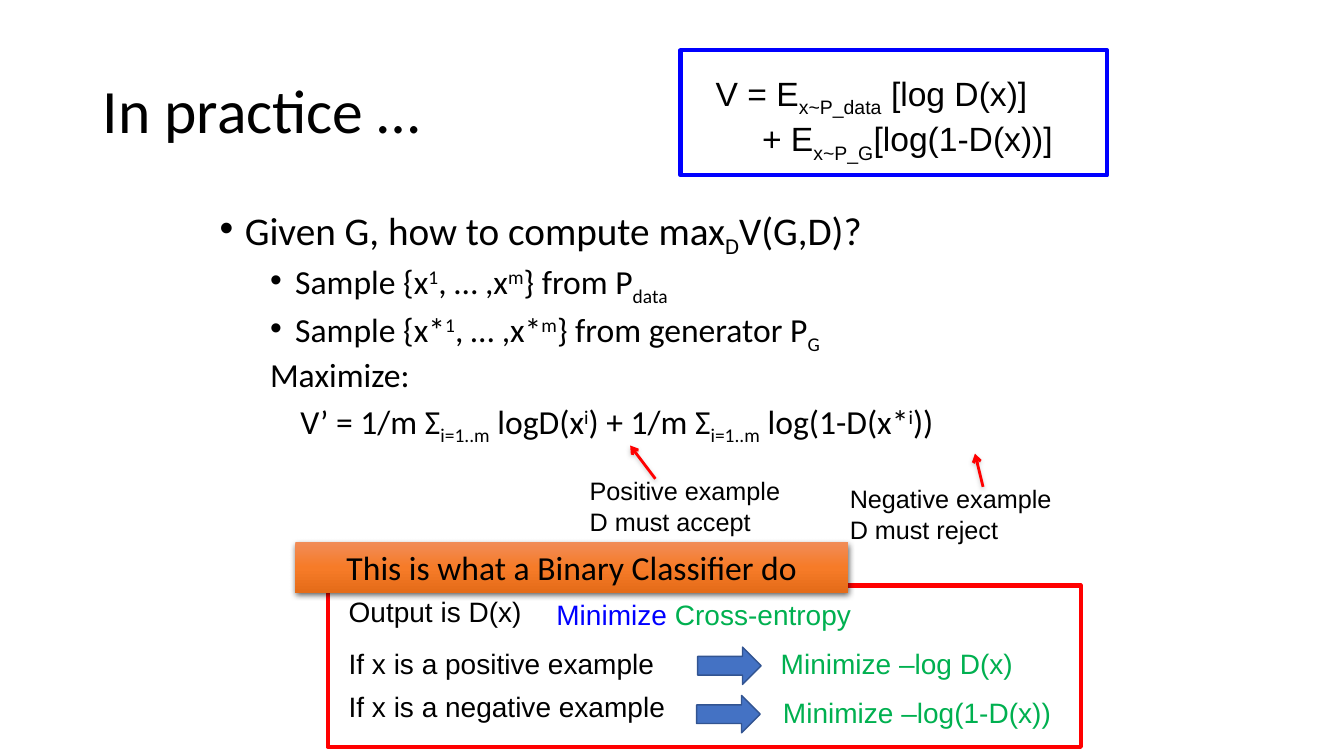
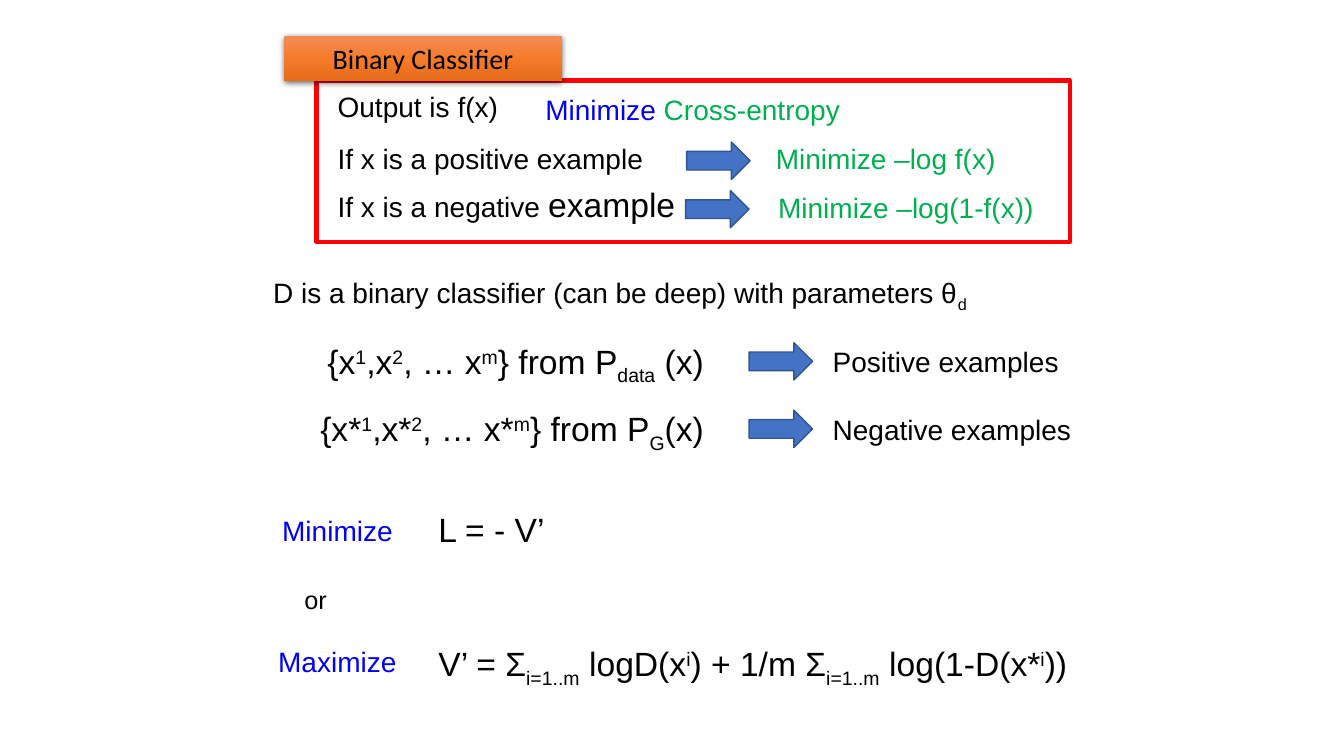
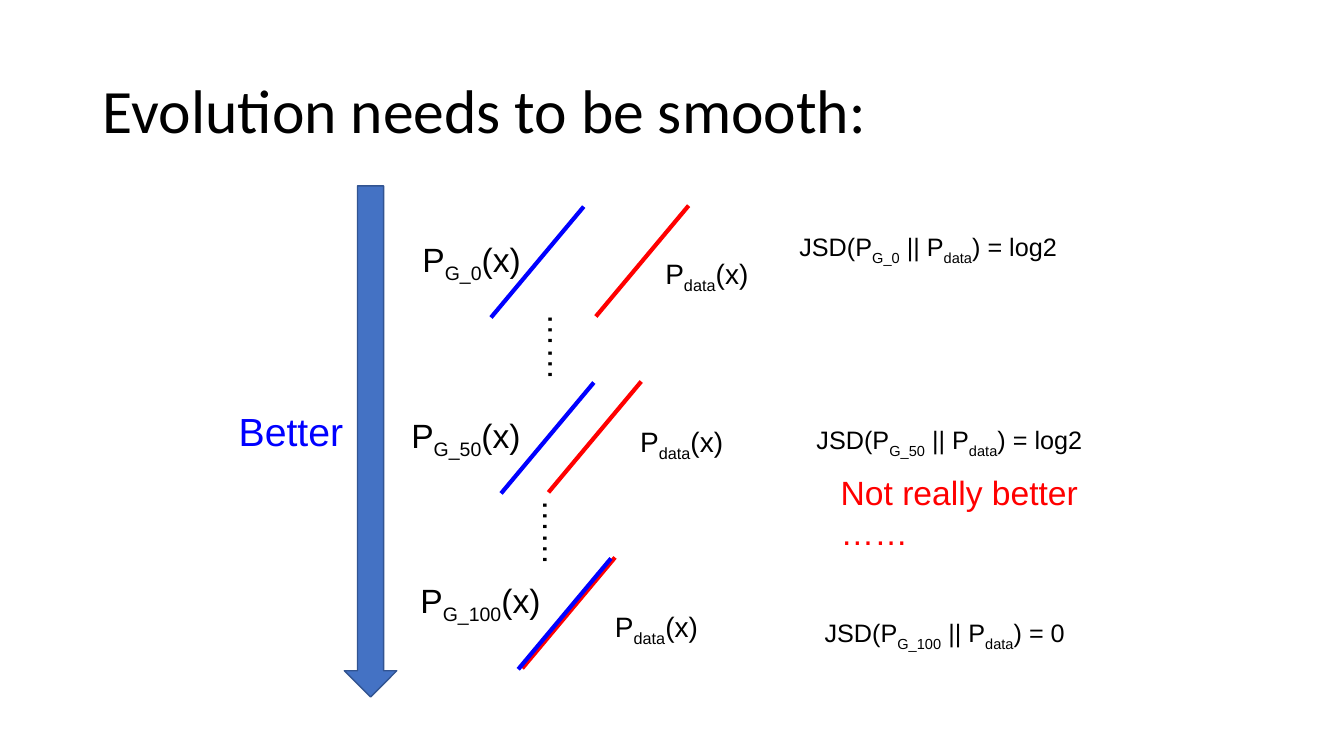
from lxml import etree
from pptx import Presentation
from pptx.dml.color import RGBColor
from pptx.enum.shapes import MSO_CONNECTOR, MSO_SHAPE
from pptx.enum.text import MSO_ANCHOR, PP_ALIGN
from pptx.oxml.ns import qn
from pptx.util import Inches, Pt

RECTANGLE, RIGHT_ARROW = MSO_SHAPE.RECTANGLE, MSO_SHAPE.RIGHT_ARROW
STRAIGHT = MSO_CONNECTOR.STRAIGHT
LEFT, CENTER, RIGHT = PP_ALIGN.LEFT, PP_ALIGN.CENTER, PP_ALIGN.RIGHT
MIDDLE = MSO_ANCHOR.MIDDLE
TITLE_ONLY, BLANK = 5, 6

CELL = Inches(1)  # all places and sizes are counted in columns and rows of this grid
COLUMNS, ROWS = 13.33, 7.5
COLORS = {
    "text": "000000", "blue": "0000FF", "green": "00B050", "red": "FF0000",
    "arrow": "4472C4", "arrow_edge": "325491", "line_shadow": "808080",
}
HEADER_STOPS = ((0, "F18C57"), (50, "F67B28"), (100, "E56C19"))
BASELINES = {"_": "-25000", "^": "30000"}
BASE_FORMAT = {"name": "Arial", "size": 20, "color": "text"}
ARROW_SIZE = (0.63, 0.37)
SLANT = (-0.92, 1.1)


def grid(*counts):
    return [int(count * CELL) for count in counts]


def color(key):
    return RGBColor.from_string(COLORS[key])


def child(parent, tag, **attributes):
    return etree.SubElement(parent, qn(tag), {k: str(v) for k, v in attributes.items()})


def add_run(paragraph, text, form, baseline=None):
    run = paragraph.add_run()
    run.text = text
    run.font.name = form["name"]
    run.font.size = Pt(form["size"])
    run.font.color.rgb = color(form["color"])
    if baseline:
        run._r.get_or_add_rPr().set("baseline", baseline)


def write_runs(paragraph, content, form):
    """Write text in which ¦_a¦ is a subscript and ¦^a¦ a superscript."""
    pieces = [(content, {})] if isinstance(content, str) else content
    for text, changes in pieces:
        for index, part in enumerate(text.split("¦")):
            if index % 2:
                add_run(paragraph, part[1:], {**form, **changes}, BASELINES[part[0]])
            elif part:
                add_run(paragraph, part, {**form, **changes})


def indent(paragraph, margin, bullet=False):
    properties = paragraph._p.get_or_add_pPr()
    properties.set("marL", str(int(margin * CELL)))
    properties.set("indent", str(int(-0.25 * CELL) if bullet else 0))
    if bullet:
        child(properties, "a:buFont", typeface="Arial")
        child(properties, "a:buChar", char="•")


def write(frame, lines, align=LEFT, **changes):
    frame.word_wrap = True
    for index, line in enumerate(lines):
        paragraph = frame.paragraphs[0] if index == 0 else frame.add_paragraph()
        paragraph.alignment = align
        write_runs(paragraph, line, {**BASE_FORMAT, **changes})


def add_text(slide, place, *lines, inset=True, rotation=0, **form):
    box = slide.shapes.add_textbox(*grid(*place))
    box.rotation = rotation
    frame = box.text_frame
    if not inset:
        for side in ("left", "top", "right", "bottom"):
            setattr(frame, f"margin_{side}", 0)
    write(frame, lines, **form)
    return frame


def add_title(slide, text):
    title = slide.shapes.title
    title.left, title.top, title.width, title.height = grid(0.92, 0.4, 11.5, 1.45)
    title.text_frame.vertical_anchor = MIDDLE
    write(title.text_frame, [text], name="Calibri", size=44)
    title.text_frame.paragraphs[0].line_spacing = 0.9


def add_frame(slide, place, edge):
    frame = slide.shapes.add_shape(RECTANGLE, *grid(*place))
    frame.shadow.inherit = False
    frame.fill.background()
    frame.line.color.rgb = color(edge)
    frame.line.width = Pt(3)


def add_arrow(slide, left, top, width=ARROW_SIZE[0], height=ARROW_SIZE[1], rotation=0):
    arrow = slide.shapes.add_shape(RIGHT_ARROW, *grid(left, top, width, height))
    arrow.shadow.inherit = False
    arrow.rotation = rotation
    arrow.fill.solid()
    arrow.fill.fore_color.rgb = color("arrow")
    arrow.line.color.rgb = color("arrow_edge")
    arrow.line.width = Pt(1)


def add_shadow(effects, tint, opacity, blur, distance):
    shadow = child(effects, "a:outerShdw", blurRad=Pt(blur), dist=Pt(distance),
                   dir=5400000, rotWithShape=0)
    child(child(shadow, "a:srgbClr", val=COLORS[tint]), "a:alpha", val=opacity * 1000)


def add_line(slide, start, end, tint, width=3, pointer=False):
    line = slide.shapes.add_connector(STRAIGHT, *grid(*start, *end))
    line.line.color.rgb = color(tint)
    line.line.width = Pt(width)
    properties = line.element.spPr
    effects = child(properties, "a:effectLst")
    if pointer:
        child(properties.find(qn("a:ln")), "a:tailEnd", type="arrow")
        add_shadow(effects, "line_shadow", 38, 3.1, 1.6)


def add_header(slide, place, text, size):
    header = slide.shapes.add_shape(RECTANGLE, *grid(*place))
    header.shadow.inherit = False
    header.line.fill.background()
    header.fill.gradient()
    header.fill.gradient_angle = 270
    properties = header.element.spPr
    stops = properties.find(qn("a:gradFill")).find(qn("a:gsLst"))
    for stop in list(stops):
        stops.remove(stop)
    for position, tint in HEADER_STOPS:
        child(child(stops, "a:gs", pos=position * 1000), "a:srgbClr", val=tint)
    add_shadow(properties.find(qn("a:effectLst")), "text", 63, 4.5, 1.5)
    header.text_frame.vertical_anchor = MIDDLE
    write(header.text_frame, [text], align=CENTER, name="Calibri", size=size)


def add_classifier(slide, left, top, function, heading, heading_box, heading_size, negative):
    """Red panel with the losses of a binary classifier called function."""
    def place(column, row, width):
        return left + column, top + row, width, 0.44

    add_text(slide, place(2.17, 0.07, 4.07),
             [("Minimize ", {"color": "blue"}), ("Cross-entropy", {"color": "green"})])
    add_frame(slide, (left, top, 7.47, 1.6), "red")
    width, height, rise = heading_box
    add_header(slide, (left - 0.32, top - rise, width, height), heading, heading_size)
    add_text(slide, place(0.11, 0.04, 2.12), f"Output is {function}(x)")
    cases = (
        (0.55, "If x is a positive example", 3.67, 0.61, 4.04, 0.55, f"–log {function}(x)"),
        (0.98, negative, 3.66, 1.09, 4.24, 1.04, f"–log(1-{function}(x))"),
    )
    for row, case, arrow_column, arrow_row, loss_column, loss_row, loss in cases:
        add_text(slide, place(0.11, row, 3.87), case)
        add_arrow(slide, left + arrow_column, top + arrow_row)
        add_text(slide, place(loss_column, loss_row, 3.21), f"Minimize {loss}",
                 align=CENTER, color="green")


def add_sampling_steps(slide, place):
    steps = (
        ("Given G, how to compute max¦_D¦V(G,D)?", 28, 0.25, True),
        ("Sample {x¦^1¦, … ,x¦^m¦} from P¦_data¦", 24, 0.75, True),
        ("Sample {x*¦^1¦, … ,x*¦^m¦} from generator P¦_G¦", 24, 0.75, True),
        ("Maximize:", 24, 0.5, False),
        ("V’ = 1/m Σ¦_i=1..m¦ logD(x¦^i¦) + 1/m Σ¦_i=1..m¦ log(1-D(x*¦^i¦))", 24, 0.8, False),
    )
    lines = [[(text, {"size": size})] for text, size, _, _ in steps]
    frame = add_text(slide, place, *lines, name="Calibri")
    for paragraph, (_, size, margin, bullet) in zip(frame.paragraphs, steps):
        paragraph.line_spacing = 0.9
        paragraph.space_before = Pt(10 if size == 28 else 5)
        paragraph.level = 0 if size == 28 else 1
        indent(paragraph, margin, bullet)


def build_practice(slide):
    add_title(slide, "In practice …")
    add_classifier(slide, 3.25, 5.81, "D", "This is what a Binary Classifier do",
                   (5.48, 0.5, 0.43), 24, "If x is a negative example")
    add_frame(slide, (6.75, 0.5, 4.23, 1.24), "blue")
    value = add_text(slide, (7, 0.67, 3.9, 1.21), "V = E¦_x~P_data¦ [log D(x)]",
                     "+ E¦_x~P_G¦[log(1-D(x))]", size=24)
    indent(value.paragraphs[1], 0.46)
    add_sampling_steps(slide, (2.08, 2, 9, 2.83))
    examples = (
        (5.75, 4.67, "Positive", "accept", (6.5, 4.75), (6.25, 4.42)),
        (8.33, 4.75, "Negative", "reject", (9.75, 4.83), (9.67, 4.5)),
    )
    for left, top, kind, verdict, start, end in examples:
        add_text(slide, (left, top, 2.4, 0.71), f"{kind} example", f"D must {verdict}", size=18)
        add_line(slide, start, end, "red", width=2, pointer=True)


def build_classifier(slide):
    add_classifier(slide, 3.14, 0.8, "f", "Binary Classifier", (2.75, 0.44, 0.44), 20,
                   [("If x is a negative ", {}), ("example", {"size": 24})])
    add_text(slide, (2.61, 2.68, 8.53, 0.44),
             "D is a binary classifier (can be deep) with parameters θ¦_d¦")
    samples = (
        (3.33, "{x¦^1¦,x¦^2¦, … x¦^m¦} from P¦_data¦ (x)", "Positive"),
        (4, "{x*¦^1¦,x*¦^2¦, … x*¦^m¦} from P¦_G¦(x)", "Negative"),
    )
    for top, sample, kind in samples:
        add_text(slide, (2.81, top, 4.27, 0.5), sample, align=RIGHT, size=24)
        add_arrow(slide, 7.43, top + 0.07)
        add_text(slide, (8.16, top + 0.04, 3.86, 0.44), f"{kind} examples")
    add_text(slide, (2.7, 5.05, 1.53, 0.44), "Minimize", color="blue")
    add_text(slide, (4.25, 5, 1.4, 0.51), "L = - V’", size=24)
    add_text(slide, (2.92, 5.75, 0.6, 0.4), "or", size=18)
    add_text(slide, (2.66, 6.34, 1.53, 0.44), "Maximize", color="blue")
    add_text(slide, (4.25, 6.33, 6.75, 0.51),
             "V’ = Σ¦_i=1..m¦ logD(x¦^i¦) + 1/m Σ¦_i=1..m¦ log(1-D(x*¦^i¦))", size=24)


def add_stage(slide, top, step, generated, label, data_label, divergence, lines):
    """One generation: its two distributions and their divergence, below top."""
    for tint, left, drop in zip(("red", "blue"), lines, (0, 0.01)):
        start = (left, top + drop)
        add_line(slide, start, (start[0] + SLANT[0], start[1] + SLANT[1]), tint)
    add_text(slide, (label[0], top + label[1], 1.4, 0.4), f"P¦_G_{step}¦(x)",
             inset=False, size=24)
    add_text(slide, (data_label[0], top + data_label[1], 1.2, 0.44), "P¦_data¦(x)")
    add_text(slide, (divergence[0], top + divergence[1], 3.1, 0.4),
             f"JSD(P¦_G_{step}¦ || P¦_data¦) = {generated}", size=18)


def build_evolution(slide):
    add_title(slide, "Evolution needs to be smooth:")
    stages = (
        (0, "log2", (4.19, 0.33), (6.5, 0.46), (7.83, 0.21), (6.83, 5.79)),
        (50, "log2", (4.08, 0.33), (6.25, 0.38), (8, 0.38), (6.36, 5.89)),
        (100, "0", (4.17, 0.22), (6, 0.47), (8.08, 0.55), (6.1, 6.06)),
    )
    for index, stage in enumerate(stages):
        add_stage(slide, 2.04 + 1.745 * index, *stage)
    add_arrow(slide, 1.14, 4.12, 5.07, 0.52, rotation=90)
    add_text(slide, (2.09, 3.99, 1.59, 0.57), "Better", align=CENTER, size=28, color="blue")
    for left, top in ((5.05, 3.19), (5, 5.03)):
        add_text(slide, (left, top, 1.03, 0.51), "……", rotation=90, align=CENTER, size=24)
    add_text(slide, (8.24, 4.63, 3.04, 0.91), "Not really better ……", size=24, color="red")


def main():
    deck = Presentation()
    deck.slide_width, deck.slide_height = grid(COLUMNS, ROWS)
    pages = ((TITLE_ONLY, build_practice), (BLANK, build_classifier),
             (TITLE_ONLY, build_evolution))
    for layout, build in pages:
        build(deck.slides.add_slide(deck.slide_layouts[layout]))
    deck.save("out.pptx")


if __name__ == "__main__":
    main()
